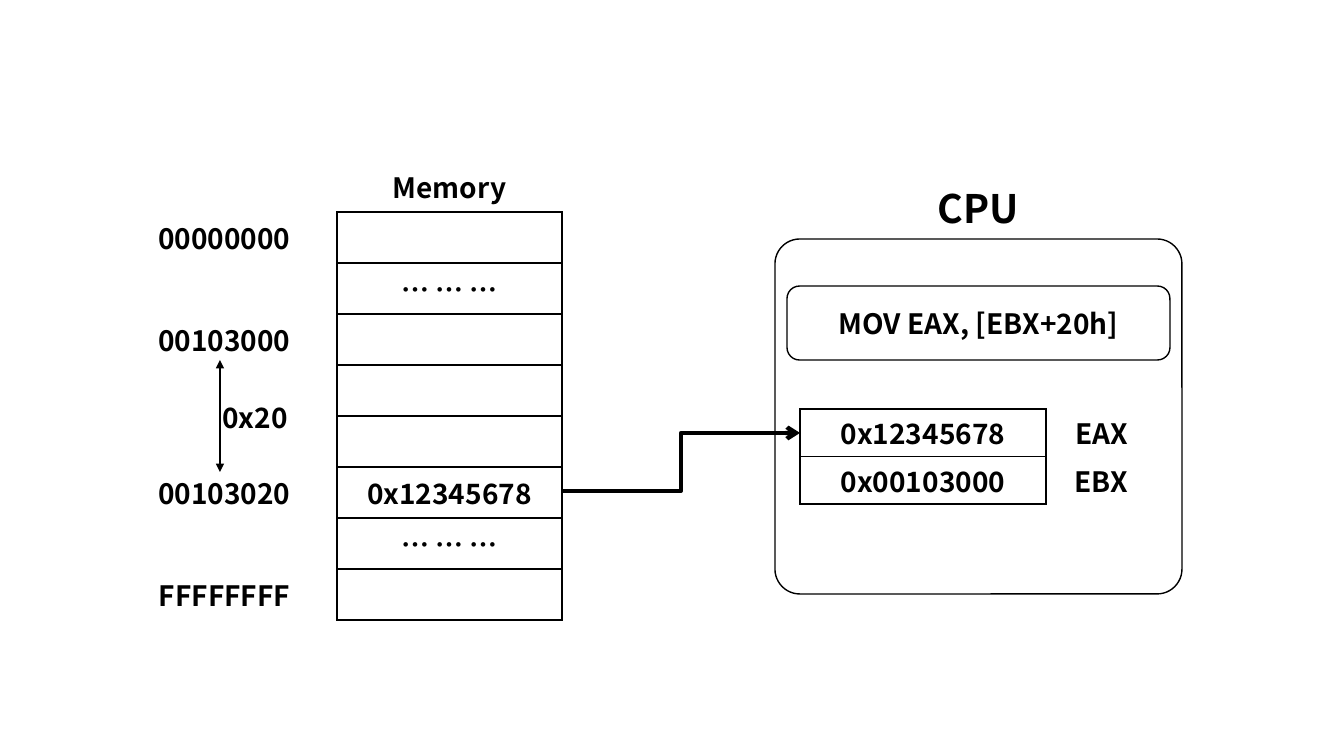
from lxml import etree
from pptx import Presentation
from pptx import util as u
from pptx.dml import color
from pptx.enum import shapes, text
from pptx.oxml import ns

EMU_PER_PIXEL = 914400 / 100.8
BLACK, WHITE = "000000", "FFFFFF"
FONT = "Noto Sans CJK KR"
BODY, TITLE = 20, 28
BOXED = "LRTB"
CELL_MARGIN = 2
INDENT = 71


def px(pixels):
    return u.Emu(round(pixels * EMU_PER_PIXEL))


def rgb(value):
    return color.RGBColor.from_string(value)


def write(frame, words, size=BODY):
    paragraph = frame.paragraphs[0]
    paragraph.alignment = text.PP_ALIGN.CENTER
    run = paragraph.add_run()
    run.text = words
    style = {"size": u.Pt(size), "name": FONT, "bold": True}
    for key, value in style.items():
        setattr(run.font, key, value)
    run.font.color.rgb = rgb(BLACK)


def set_borders(cell, sides):
    properties = cell._tc.get_or_add_tcPr()
    for position, side in enumerate(BOXED):
        edge = etree.Element(ns.qn("a:ln" + side), w=str(u.Pt(1)))
        if side in sides:
            fill = etree.SubElement(edge, ns.qn("a:solidFill"))
            etree.SubElement(fill, ns.qn("a:srgbClr"), val=BLACK)
        else:
            etree.SubElement(edge, ns.qn("a:noFill"))
        properties.insert(position, edge)


def add_grid(slide, left, top, widths, row_height, rows, sides_of):
    frame = slide.shapes.add_table(
        len(rows), len(widths), px(left), px(top),
        px(sum(widths)), px(row_height * len(rows)))
    grid = frame.table
    grid.first_row = grid.horz_banding = False
    for column, width in zip(grid.columns, widths):
        column.width = px(width)
    for r, row in enumerate(rows):
        grid.rows[r].height = px(row_height)
        for c, words in enumerate(row):
            cell = grid.cell(r, c)
            cell.fill.background()
            cell.vertical_anchor = text.MSO_ANCHOR.MIDDLE
            cell.margin_top = cell.margin_bottom = px(CELL_MARGIN)
            if words:
                write(cell.text_frame, words)
            set_borders(cell, sides_of(r, c))
    return grid


def add_panel(slide, left, top, width, height, corner, words=""):
    panel = slide.shapes.add_shape(
        shapes.MSO_SHAPE.ROUNDED_RECTANGLE,
        px(left), px(top), px(width), px(height))
    panel.adjustments[0] = corner
    panel.shadow.inherit = False
    panel.fill.solid()
    panel.fill.fore_color.rgb = rgb(WHITE)
    panel.line.color.rgb = rgb(BLACK)
    panel.line.width = u.Pt(1)
    if words:
        panel.text_frame.vertical_anchor = text.MSO_ANCHOR.MIDDLE
        write(panel.text_frame, words)


def add_heading(slide, left, top, width, height, words):
    frame = slide.shapes.add_textbox(
        px(left), px(top), px(width), px(height)).text_frame
    frame.word_wrap = True
    frame.vertical_anchor = text.MSO_ANCHOR.MIDDLE
    write(frame, words, TITLE)


def add_arrow(slide, kind, start, end, width, heads):
    arrow = slide.shapes.add_connector(kind, *map(px, start + end))
    arrow.line.color.rgb = rgb(BLACK)
    arrow.line.width = u.Pt(width)
    line = arrow.line._get_or_add_ln()
    for tag, head in heads.items():
        etree.SubElement(line, ns.qn("a:" + tag), type=head)
    etree.SubElement(arrow._element.spPr, ns.qn("a:effectLst"))


def memory_sides(row, column):
    if row == 0:
        return "B" if column else ""
    return BOXED if column else "R"


def register_sides(row, column):
    return "L" if column else BOXED


def main():
    deck = Presentation()
    deck.slide_width, deck.slide_height = px(1344), px(756)
    slide = deck.slides.add_slide(deck.slide_layouts[6])

    loaded, base, gap = "0x12345678", "00103000", "… … …"
    memory = add_grid(slide, 112, 161, [225, 225], 51, [
        ("", "Memory"),
        ("00000000", ""),
        ("", gap),
        (base, ""),
        ("0x20", ""),
        ("", ""),
        ("00103020", loaded),
        ("", gap),
        ("FFFFFFFF", ""),
    ], memory_sides)
    offset = memory.cell(4, 0)
    offset.merge(memory.cell(5, 0))
    offset.margin_left = px(INDENT)

    add_panel(slide, 775, 239, 407, 355, 0.07)
    add_heading(slide, 775, 179, 407, 57, "CPU")
    add_grid(slide, 800, 409, [246, 111], 47.5, [
        (loaded, "EAX"),
        ("0x" + base, "EBX"),
    ], register_sides)
    add_panel(slide, 787, 286, 383, 74, 0.17, "MOV EAX, [EBX+20h]")

    add_arrow(slide, shapes.MSO_CONNECTOR.ELBOW, (562, 491), (800, 433), 3,
              {"tailEnd": "arrow"})
    add_arrow(slide, shapes.MSO_CONNECTOR.STRAIGHT, (220, 360), (220, 472), 1,
              {"headEnd": "triangle", "tailEnd": "triangle"})
    deck.save("out.pptx")


main()
